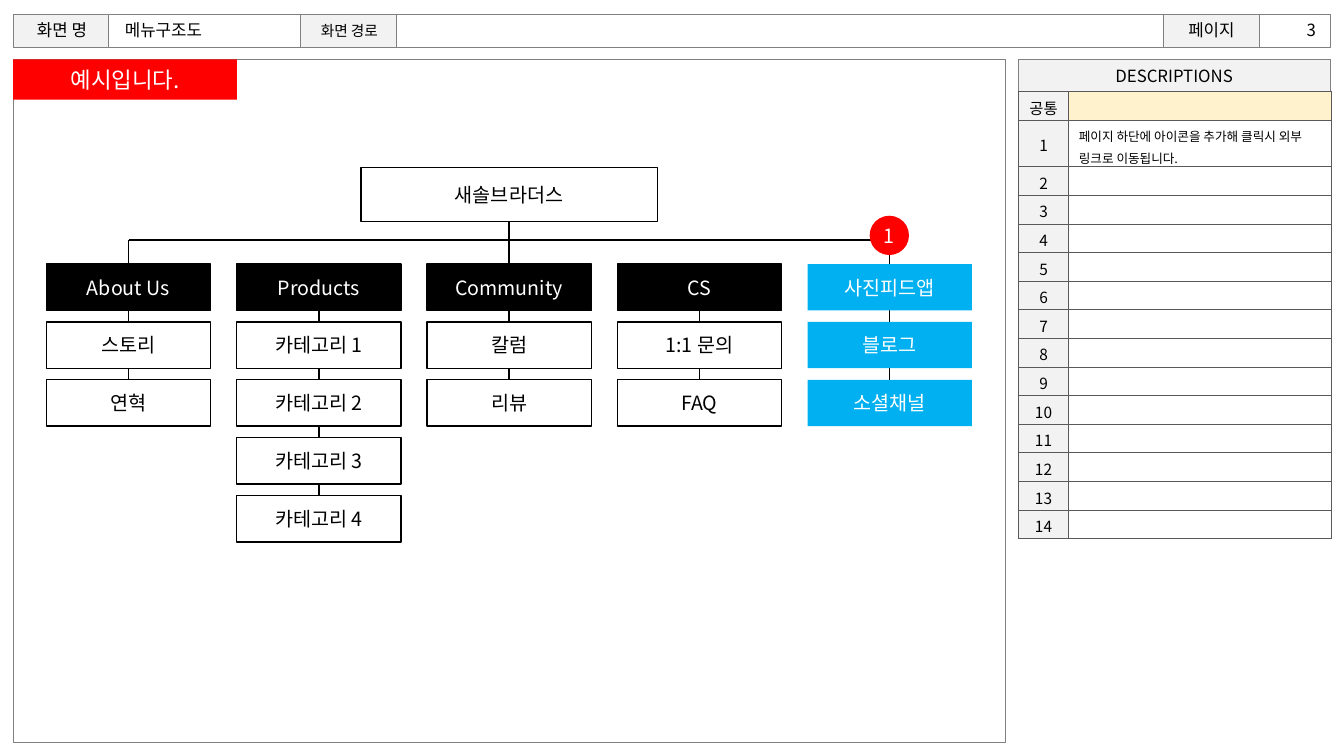
from dataclasses import dataclass

from lxml import etree
from pptx import Presentation
from pptx.dml.color import RGBColor
from pptx.enum.shapes import MSO_CONNECTOR, MSO_SHAPE
from pptx.enum.text import MSO_ANCHOR, PP_ALIGN
from pptx.oxml.ns import qn
from pptx.util import Inches, Pt

RECT, OVAL = MSO_SHAPE.RECTANGLE, MSO_SHAPE.OVAL
LEFT, MID, RIGHT = PP_ALIGN.LEFT, PP_ALIGN.CENTER, PP_ALIGN.RIGHT
STRAIGHT = MSO_CONNECTOR.STRAIGHT


@dataclass(frozen=True)
class Theme:
    font: str = "Noto Sans CJK KR"
    black: str = "000000"
    white: str = "FFFFFF"
    gray: str = "F2F2F2"
    edge: str = "808080"
    grid: str = "595959"
    cream: str = "FFF2CC"
    blue: str = "00B0F0"
    red: str = "FF0000"
    note: float = 9
    small: float = 10.5
    cell: float = 11
    label: float = 12
    node: float = 14
    tag: float = 16


T = Theme()
MENU = [
    ("About Us", ["스토리", "연혁"]),
    ("Products", ["카테고리 1", "카테고리 2", "카테고리 3", "카테고리 4"]),
    ("Community", ["칼럼", "리뷰"]),
    ("CS", ["1:1 문의", "FAQ"]),
    ("사진피드앱", ["블로그", "소셜채널"]),
]
NOTE = "페이지 하단에 아이콘을 추가해 클릭시 외부 링크로 이동됩니다."


def rgb(code):
    return RGBColor.from_string(code)


def put(frame, text, size=T.label, color=T.black, align=MID, space=None):
    """Write one formatted paragraph into a text frame."""
    frame.word_wrap = True
    para = frame.paragraphs[0]
    para.alignment = align
    if space:
        para.line_spacing = space
    run = para.add_run()
    run.text = text
    run.font.size = Pt(size)
    run.font.color.rgb = rgb(color)
    run.font.name = T.font
    etree.SubElement(run.font._element, qn("a:ea"), typeface=T.font)


def block(slide, box, fill=None, edge=None, width=0.75, kind=RECT):
    shape = slide.shapes.add_shape(kind, *map(Inches, box))
    shape.shadow.inherit = False
    if fill:
        shape.fill.solid()
        shape.fill.fore_color.rgb = rgb(fill)
    else:
        shape.fill.background()
    if edge:
        shape.line.color.rgb = rgb(edge)
        shape.line.width = Pt(width)
    else:
        shape.line.fill.background()
    frame = shape.text_frame
    frame.vertical_anchor = MSO_ANCHOR.MIDDLE
    frame.margin_top = frame.margin_bottom = 0
    return shape


def label(slide, box, text, **form):
    frame = slide.shapes.add_textbox(*map(Inches, box)).text_frame
    frame.vertical_anchor = MSO_ANCHOR.MIDDLE
    frame.margin_top = frame.margin_bottom = 0
    put(frame, text, **form)


def link(slide, *ends):
    line = slide.shapes.add_connector(STRAIGHT, *map(Inches, ends))
    line.line.color.rgb = rgb(T.black)
    line.line.width = Pt(1)
    etree.SubElement(line._element.spPr, qn("a:effectLst"))


def header(slide, x, y, w, h):
    block(slide, (x, y, w, h), edge=T.edge)
    for left in (0, 2.85, 11.41):
        block(slide, (x + left, y, 0.95, h), T.gray, T.edge)
    for left, wide, text, form in (
        (0.06, 0.85, "화면 명", {}),
        (1.01, 1.8, "메뉴구조도", {"align": LEFT}),
        (2.91, 0.85, "화면 경로", {"size": T.small}),
        (11.46, 0.85, "페이지", {}),
        (12.45, 0.57, "3", {"align": RIGHT}),
    ):
        label(slide, (x + left, y + 0.01, wide, 0.3), text, **form)


def border(cell):
    props = cell._tc.get_or_add_tcPr()
    for place, side in enumerate(("a:lnL", "a:lnR", "a:lnT", "a:lnB")):
        line = etree.Element(qn(side), w=str(Pt(0.5)))
        fill = etree.SubElement(line, qn("a:solidFill"))
        etree.SubElement(fill, qn("a:srgbClr"), val=T.grid)
        props.insert(place, line)


def notes(slide, x, y, w):
    """Draw the description heading and its numbered table."""
    block(slide, (x, y, w, 0.33), T.gray, T.edge)
    label(slide, (x + 0.37, y + 0.01, w - 0.75, 0.3), "DESCRIPTIONS")
    rows = [("공통", "")] + [(str(n), NOTE if n == 1 else "") for n in range(1, 15)]
    box = map(Inches, (x, y + 0.32, w, 4.44))
    table = slide.shapes.add_table(len(rows), 2, *box).table
    table.first_row = table.horz_banding = False
    for col, wide in zip(table.columns, (0.5, w - 0.5)):
        col.width = Inches(wide)
    for r, texts in enumerate(rows):
        table.rows[r].height = Inches(0.46 if r == 1 else 0.284)
        for c, text in enumerate(texts):
            cell = table.cell(r, c)
            cell.margin_top, cell.margin_bottom = Inches(0.03), 0
            cell.fill.solid()
            back = T.gray if c == 0 else T.cream if r == 0 else T.white
            cell.fill.fore_color.rgb = rgb(back)
            border(cell)
            if c == 0:
                cell.vertical_anchor = MSO_ANCHOR.MIDDLE
                put(cell.text_frame, text, size=T.cell)
            elif text:
                put(cell.text_frame, text, size=T.note, align=LEFT, space=1.2)
            else:
                end = cell.text_frame.paragraphs[0]._p.get_or_add_endParaRPr()
                end.set("sz", str(T.note * 100))


def node(slide, box, text, fill, edge=T.black):
    shape = block(slide, box, fill, edge, width=1)
    color = T.black if fill == T.white else T.white
    put(shape.text_frame, text, size=T.node, color=color)


def tree(slide, x, y, w):
    """Draw the root, the bus line and one column per menu."""
    wide, high, step = 1.63, 0.46, 0.574
    pitch = (w - wide) / (len(MENU) - 1)
    top, bus = y + 0.96, y + 0.72
    mids = [x + wide / 2 + i * pitch for i in range(len(MENU))]
    hub = mids[2]
    link(slide, mids[0], bus, mids[-1], bus)
    link(slide, hub, y + 0.54, hub, top)
    for mid in (mids[0], mids[-1]):
        link(slide, mid, bus, mid, top)
    node(slide, (hub - 1.47, y, 2.94, 0.54), "새솔브라더스", T.white)
    for i, (mid, (name, items)) in enumerate(zip(mids, MENU)):
        link(slide, mid, top + high, mid, top + step * len(items))
        outer = i == len(MENU) - 1
        for j, text in enumerate([name] + items):
            fill = T.blue if outer else T.white if j else T.black
            box = (mid - wide / 2, top + j * step, wide, high)
            node(slide, box, text, fill, None if outer else T.black)
    mark = block(slide, (mids[-1] - 0.2, y + 0.48, 0.39, 0.39), T.red, kind=OVAL)
    mark.text_frame.margin_left = mark.text_frame.margin_right = 0
    put(mark.text_frame, "1", size=T.node, color=T.white)


def canvas(slide, x, y, w, h):
    block(slide, (x, y, w, h), edge=T.edge)
    tree(slide, x + 0.33, y + 1.07, 9.18)
    tag = block(slide, (x, y, 2.22, 0.4), T.red)
    put(tag.text_frame, "예시입니다.", size=T.tag, color=T.white)


def main():
    deck = Presentation()
    deck.slide_width, deck.slide_height = Inches(13.33), Inches(7.5)
    slide = deck.slides.add_slide(deck.slide_layouts[6])
    header(slide, 0.13, 0.14, 13.07, 0.33)
    notes(slide, 10.1, 0.59, 3.1)
    canvas(slide, 0.13, 0.59, 9.84, 6.78)
    deck.save("out.pptx")


if __name__ == "__main__":
    main()
